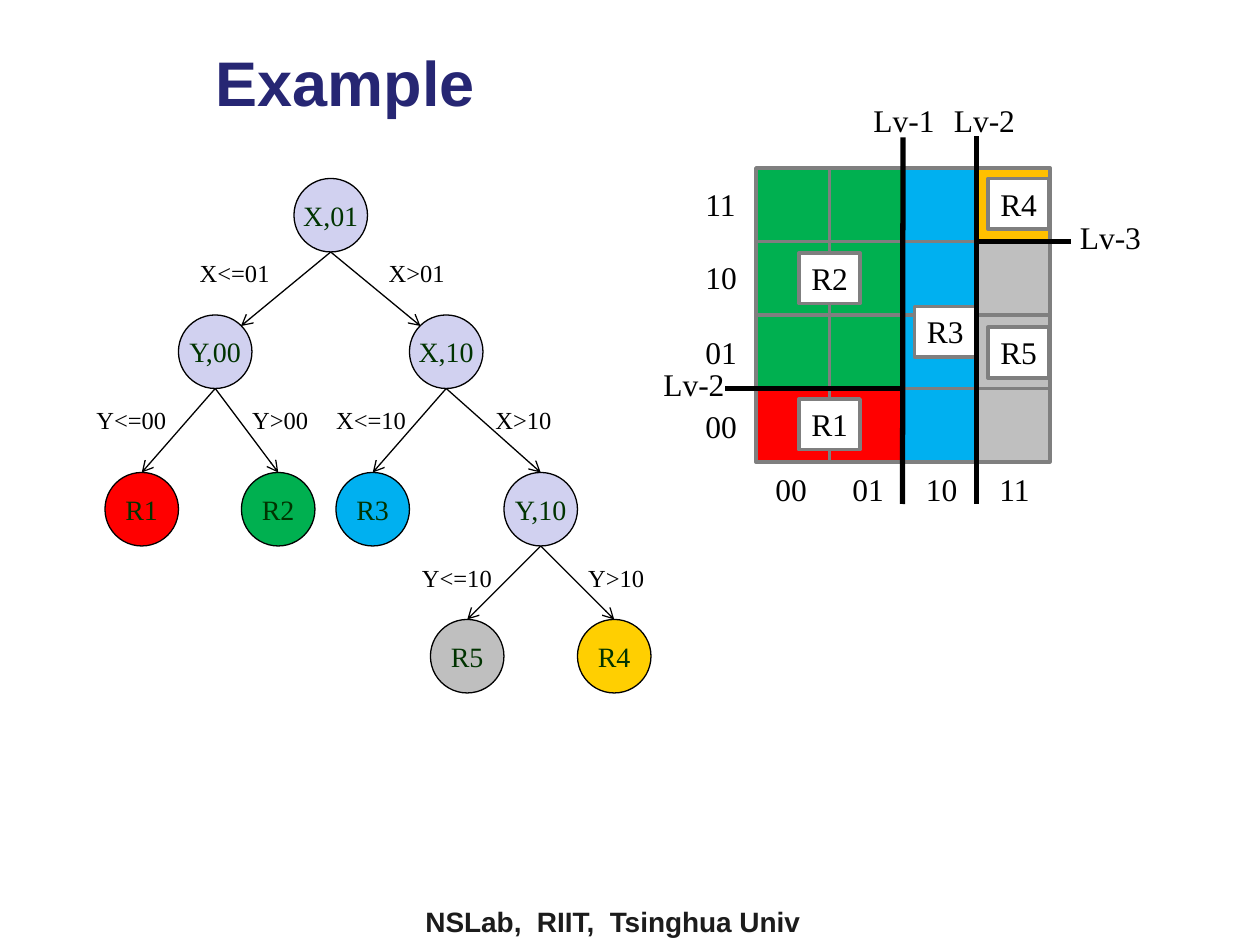
from dataclasses import dataclass

from lxml import etree
from pptx import Presentation
from pptx import util as u
from pptx.dml.color import RGBColor
from pptx.enum import shapes, text
from pptx.oxml.ns import qn


@dataclass(frozen=True)
class Theme:
    """Colours, fonts and type sizes of the slide."""
    heading: str = "Arial"
    body: str = "Times New Roman"
    title_size: int = 36
    grid_size: int = 18
    node_size: int = 16
    edge_size: int = 14
    title: str = "262673"
    footer: str = "1C1C1C"
    black: str = "000000"
    white: str = "FFFFFF"
    node_text: str = "003300"
    grid_line: str = "7F7F7F"
    inner: str = "D1D1F0"
    red: str = "FF0000"
    green: str = "00B050"
    blue: str = "00B0F0"
    grey: str = "BFBFBF"
    amber: str = "FFC000"
    gold: str = "FFCF01"


THEME = Theme()
SIDE = 42
GRID_LEFT, GRID_TOP = 432, 96
CELL_ROWS = [
    [THEME.green, THEME.green, THEME.blue, THEME.amber],
    [THEME.green, THEME.green, THEME.blue, THEME.grey],
    [THEME.green, THEME.green, THEME.blue, THEME.grey],
    [THEME.red, THEME.red, THEME.blue, THEME.grey],
]
CODES = ["00", "01", "10", "11"]
ROW_LABEL_TOPS = [229, 187, 144, 102]
COLUMN_LABEL_LEFTS = [436, 480, 522, 564]
REGIONS = [("R2", 456.5, 144.5), ("R1", 456.5, 228), ("R3", 522.5, 175),
           ("R5", 564.5, 187), ("R4", 564.5, 102)]
CUTS = [(516, 78.5, 515.75, 288), (558, 78, 558, 288),
        (516, 222, 414, 222), (558, 138, 612, 138)]
LEVELS = [("Lv-1", 492, 54), ("Lv-2", 538, 54),
          ("Lv-2", 372, 205), ("Lv-3", 610, 121)]
NODES = {
    "X,01": (168, 102, THEME.inner),
    "Y,00": (102, 180, THEME.inner),
    "X,10": (234, 180, THEME.inner),
    "R1": (60, 270, THEME.red),
    "R2": (138, 270, THEME.green),
    "R3": (192, 270, THEME.blue),
    "Y,10": (288, 270, THEME.inner),
    "R5": (246, 354, THEME.grey),
    "R4": (330, 354, THEME.gold),
}
TOP = (0.5, 0)
TOP_LEFT = (0.15, 0.15)
TOP_RIGHT = (0.85, 0.15)
EDGES = [
    ("X,01", "Y,00", TOP_RIGHT, "X<=01", 107, 144),
    ("X,01", "X,10", TOP_LEFT, "X>01", 215, 144),
    ("Y,00", "R1", TOP, "Y<=00", 48, 228),
    ("Y,00", "R2", TOP, "Y>00", 137, 228),
    ("X,10", "R3", TOP, "X<=10", 185, 228),
    ("X,10", "Y,10", TOP, "X>10", 276, 228),
    ("Y,10", "R5", TOP, "Y<=10", 234, 318),
    ("Y,10", "R4", TOP, "Y>10", 329, 318),
]


def points(*values):
    """Convert numbers to point lengths."""
    return [u.Pt(value) for value in values]


def style_text(shape, words, font, size, color, bold=False, align=text.PP_ALIGN.LEFT):
    """Write one paragraph in a shape and format it."""
    frame = shape.text_frame
    frame.text = words
    para = frame.paragraphs[0]
    para.alignment = align
    for span in para.runs:
        span.font.name = font
        span.font.size = u.Pt(size)
        span.font.bold = bold
        span.font.color.rgb = RGBColor.from_string(color)
    return frame


def add_label(page, words, left, top, width, height, size,
              font=THEME.body, color=THEME.black, bold=False):
    """Add a one-line text box."""
    box = page.shapes.add_textbox(*points(left, top, width, height))
    frame = style_text(box, words, font, size, color, bold)
    frame.word_wrap = False
    frame.auto_size = text.MSO_AUTO_SIZE.SHAPE_TO_FIT_TEXT


def add_filled(page, kind, left, top, width, height, fill, line, weight):
    """Add a flat preset shape with a fill and an outline."""
    shape = page.shapes.add_shape(kind, *points(left, top, width, height))
    shape.shadow.inherit = False
    shape.fill.solid()
    shape.fill.fore_color.rgb = RGBColor.from_string(fill)
    shape.line.color.rgb = RGBColor.from_string(line)
    shape.line.width = u.Pt(weight)
    return shape


def add_line(page, ends, weight, arrow=False):
    """Add a straight black line, with an open arrowhead if asked."""
    line = page.shapes.add_connector(shapes.MSO_CONNECTOR.STRAIGHT, *points(*ends))
    line.line.color.rgb = RGBColor.from_string(THEME.black)
    line.line.width = u.Pt(weight)
    properties = line._element.spPr
    if arrow:
        etree.SubElement(properties.find(qn("a:ln")), qn("a:tailEnd"), type="arrow")
    etree.SubElement(properties, qn("a:effectLst"))


def add_title(page):
    """Place and format the title."""
    title = page.shapes.title
    title.left, title.top, title.width, title.height = points(116, 14.5, 572.5, 57)
    frame = style_text(title, "Example", THEME.heading, THEME.title_size, THEME.title, True)
    frame.vertical_anchor = text.MSO_ANCHOR.BOTTOM
    frame.auto_size = text.MSO_AUTO_SIZE.NONE


def add_grid(page):
    """Draw the cells, their codes and the region tags."""
    rectangle = shapes.MSO_SHAPE.RECTANGLE
    for row, colors in enumerate(CELL_ROWS):
        for column, color in enumerate(colors):
            add_filled(page, rectangle, GRID_LEFT + column * SIDE, GRID_TOP + row * SIDE,
                       SIDE, SIDE, color, THEME.grid_line, 2)
    for code, left, top in zip(CODES, COLUMN_LABEL_LEFTS, ROW_LABEL_TOPS):
        add_label(page, code, 396, top, 33, 29, THEME.grid_size)
        add_label(page, code, left, 265, 33, 29, THEME.grid_size)
    for name, left, top in REGIONS:
        tag = add_filled(page, rectangle, left, top, 35, 29, THEME.white, THEME.grid_line, 2)
        frame = style_text(tag, name, THEME.body, THEME.grid_size, THEME.black)
        frame.word_wrap = False
        frame.vertical_anchor = text.MSO_ANCHOR.TOP


def add_cuts(page):
    """Draw the cutting lines and their level names."""
    for ends in CUTS:
        add_line(page, ends, 3)
    for name, left, top in LEVELS:
        add_label(page, name, left, top, 50, 29, THEME.grid_size)


def add_tree(page):
    """Draw the decision tree with its labelled edges."""
    for name, (left, top, fill) in NODES.items():
        node = add_filled(page, shapes.MSO_SHAPE.OVAL, left, top, SIDE, SIDE,
                          fill, THEME.black, 0.75)
        frame = style_text(node, name, THEME.body, THEME.node_size, THEME.node_text,
                           align=text.PP_ALIGN.CENTER)
        frame.word_wrap = False
        frame.vertical_anchor = text.MSO_ANCHOR.MIDDLE
    for parent, child, (across, down), test, left, top in EDGES:
        start_left, start_top, _ = NODES[parent]
        end_left, end_top, _ = NODES[child]
        add_line(page, (start_left + SIDE / 2, start_top + SIDE,
                        end_left + across * SIDE, end_top + down * SIDE), 0.75, arrow=True)
        width = 55.5 if "<=" in test else 47.5
        add_label(page, test, left, top, width, 24.5, THEME.edge_size)


def main():
    """Build the slide and save it."""
    deck = Presentation()
    deck.slide_width, deck.slide_height = points(720, 540)
    page = deck.slides.add_slide(deck.slide_layouts[5])
    add_label(page, "NSLab,  RIIT,  Tsinghua Univ", 236, 513.5, 254, 26.5,
              THEME.node_size, THEME.heading, THEME.footer, True)
    add_title(page)
    add_grid(page)
    add_cuts(page)
    add_tree(page)
    deck.save("out.pptx")


if __name__ == "__main__":
    main()
